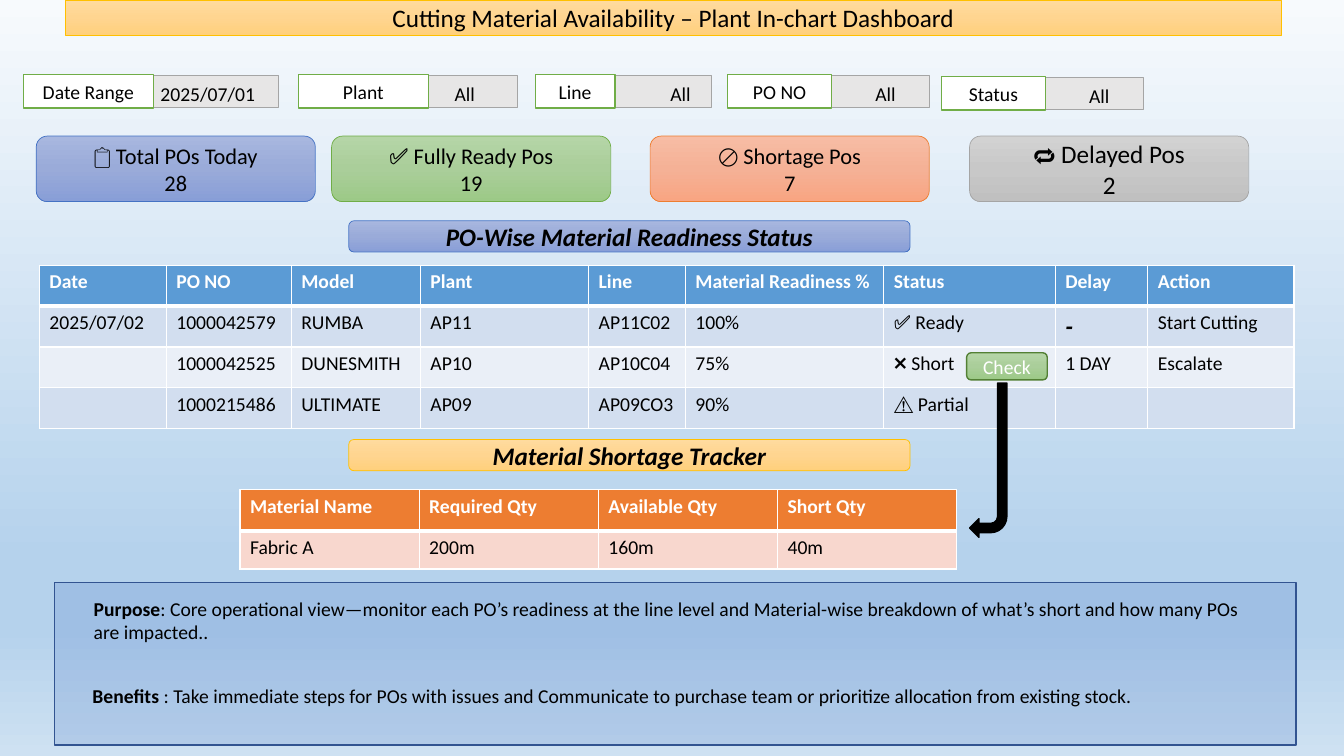
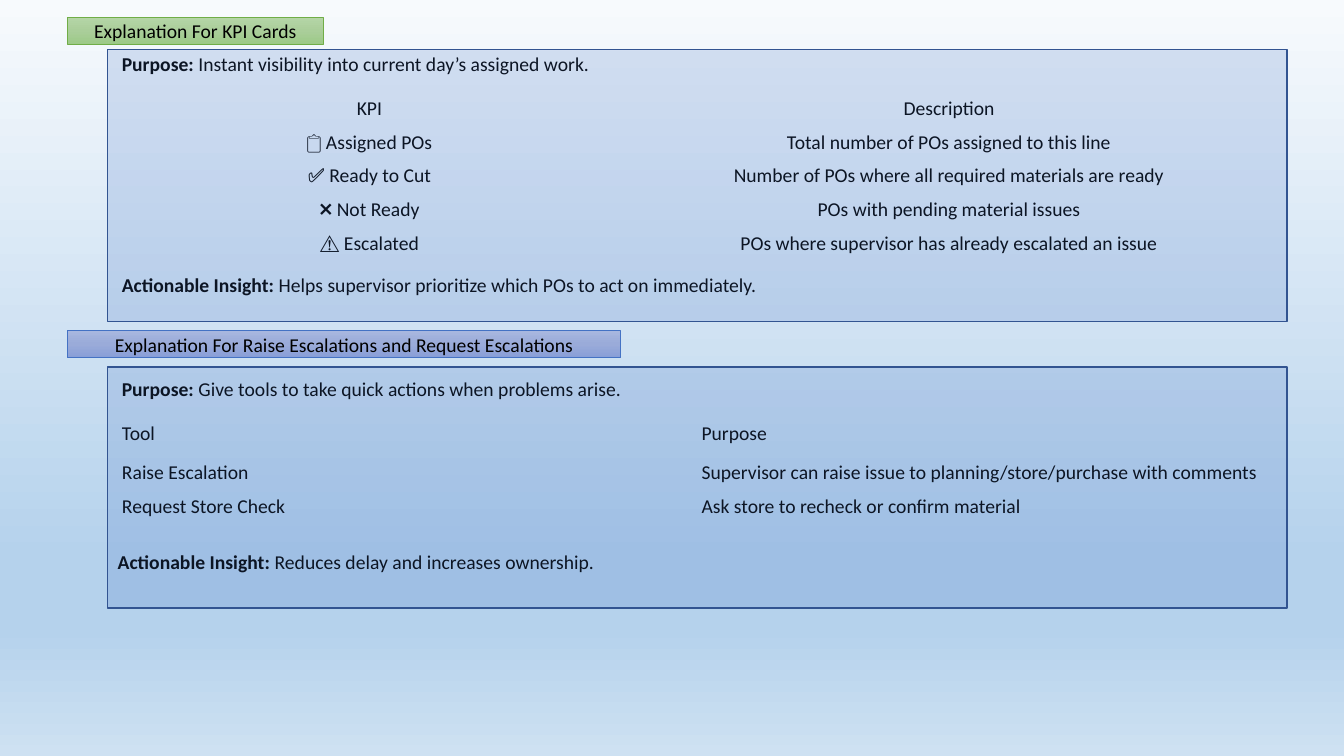
from lxml.etree import SubElement
from pptx import Presentation
from pptx.dml.color import RGBColor
from pptx.enum.shapes import MSO_SHAPE
from pptx.enum.text import MSO_ANCHOR, PP_ALIGN
from pptx.oxml.ns import qn
from pptx.util import Pt

COLORS = {
    "black": "000000", "white": "FFFFFF", "panel": "4472C4", "panel_line": "325491",
    "value": "E7E6E6", "value_line": "A5A5A5", "green": "70AD47", "green_line": "538035",
    "blue_header": "5B9BD5", "blue_odd": "D2DEEF", "blue_even": "EAEFF7",
    "orange_header": "ED7D31", "orange_row": "F8D7CE",
    "gold_line": "FFC000", "blue_line": "4472C4", "orange_line": "ED7D31",
}
GRADIENTS = {
    "gold": ("FFDB9E", "FFD590", "FFD07C"),
    "blue": ("A8B7DF", "9AABD9", "889ED7"),
    "green": ("B5D5A7", "AACE9A", "9CC987"),
    "orange": ("F7BDA5", "F5B196", "F8A582"),
    "gray": ("D2D2D2", "C8C8C8", "C0C0C0"),
}
GRADIENT_LINES = {"gold": "gold_line", "blue": "blue_line", "green": "green",
                  "orange": "orange_line", "gray": "value_line"}
BACKGROUND = ((0, "F7FAFD"), (74, "B5D2EC"), (83, "B5D2EC"), (100, "CEE1F2"))
NO_TABLE_STYLE = "{2D5ABB26-0587-4C30-8999-92F81FD0307C}"


def rgb(name):
    return RGBColor.from_string(COLORS[name])


def apply_gradient(fill, element, stops):
    fill.gradient()
    fill.gradient_angle = 270
    stop_list = next(element.iter(qn("a:gsLst")))
    for stop in list(stop_list):
        stop_list.remove(stop)
    for position, color in stops:
        stop = SubElement(stop_list, qn("a:gs"), pos=str(position * 1000))
        SubElement(stop, qn("a:srgbClr"), val=color)


class Deck:
    """Holds the shared style and the slide being drawn."""

    font_name = "Calibri"

    def __init__(self):
        self.presentation = Presentation()
        self.presentation.slide_width = Pt(960)
        self.presentation.slide_height = Pt(540)
        self.slide = None

    def add_slide(self):
        self.slide = self.presentation.slides.add_slide(self.presentation.slide_layouts[6])
        apply_gradient(self.slide.background.fill, self.slide.element, BACKGROUND)

    def format(self, paragraph, size=14, color="black", bold=None, italic=None, align=PP_ALIGN.LEFT):
        paragraph.alignment = align
        font = paragraph.font
        font.name, font.size, font.bold, font.italic = self.font_name, Pt(size), bold, italic
        font.color.rgb = rgb(color)

    def shape(self, box, fill, line, width, lines=(), kind=MSO_SHAPE.RECTANGLE, **text_style):
        shape = self.slide.shapes.add_shape(kind, *map(Pt, box))
        shape.shadow.inherit = False
        if fill in GRADIENTS:
            apply_gradient(shape.fill, shape.element, zip((0, 50, 100), GRADIENTS[fill]))
        else:
            shape.fill.solid()
            shape.fill.fore_color.rgb = rgb(fill)
        shape.line.color.rgb = rgb(line)
        shape.line.width = Pt(width)
        frame = shape.text_frame
        frame.word_wrap = True
        frame.vertical_anchor = MSO_ANCHOR.MIDDLE
        frame.margin_top = frame.margin_bottom = 0
        if lines:
            frame.text = "\n".join(lines)
            for paragraph in frame.paragraphs:
                self.format(paragraph, align=PP_ALIGN.CENTER, **text_style)
        return shape

    def band(self, box, gradient, *lines, rounded=False, **text_style):
        kind = MSO_SHAPE.ROUNDED_RECTANGLE if rounded else MSO_SHAPE.RECTANGLE
        self.shape(box, gradient, GRADIENT_LINES[gradient], 0.5, lines, kind, **text_style)

    def filter(self, left, top, width, label_width, label, value):
        value_box = self.shape((left, top + 0.4, width, 23), "value", "value_line", 0.5, [value])
        value_box.text_frame.margin_left = Pt(88.6)
        value_box.text_frame.margin_top = Pt(2.8)
        self.shape((left, top, label_width, 23.8), "white", "green", 1, [label])

    def panel(self, *box):
        panel = self.shape(box, "panel", "panel_line", 1)
        color = panel.element.spPr.find(qn("a:solidFill")).find(qn("a:srgbClr"))
        SubElement(color, qn("a:alpha"), val="19000")

    def note(self, left, top, width, height, lead, rest):
        frame = self.slide.shapes.add_textbox(*map(Pt, (left, top, width, height))).text_frame
        frame.word_wrap = True
        paragraph = frame.paragraphs[0]
        self.format(paragraph)
        for text, bold in ((lead, True), (rest, False)):
            run = paragraph.add_run()
            run.text, run.font.bold = text, bold

    def cell_borders(self, cell, row):
        properties = cell._tc.get_or_add_tcPr()
        thick_side = {0: "B", 1: "T"}.get(row)
        for side in "LRTB":
            width = Pt(3 if side == thick_side else 1)
            line = SubElement(properties, qn(f"a:ln{side}"), w=str(width))
            fill = SubElement(line, qn("a:solidFill"))
            SubElement(fill, qn("a:srgbClr"), val=COLORS["white"])

    def table(self, left, top, columns, heights, rows, fills=None, align=PP_ALIGN.LEFT):
        box = map(Pt, (left, top, sum(columns), sum(heights)))
        frame = self.slide.shapes.add_table(len(rows), len(columns), *box)
        next(frame.element.iter(qn("a:tableStyleId"))).text = NO_TABLE_STYLE
        table = frame.table
        for column, width in zip(table.columns, columns):
            column.width = Pt(width)
        for row_index, (row, height) in enumerate(zip(rows, heights)):
            table.rows[row_index].height = Pt(height)
            for column_index, text in enumerate(row):
                cell = table.cell(row_index, column_index)
                cell.text = text
                style = {}
                if fills:
                    self.cell_borders(cell, row_index)
                    cell.fill.solid()
                    cell.fill.fore_color.rgb = rgb(fills[row_index])
                    if row_index == 0:
                        style = {"color": "white", "bold": True}
                    elif text == "-":
                        style = {"size": 18, "bold": True, "italic": True}
                else:
                    cell.fill.background()
                    cell.vertical_anchor = MSO_ANCHOR.MIDDLE
                self.format(cell.text_frame.paragraphs[0], align=align, **style)


def draw_dashboard(deck):
    deck.add_slide()
    deck.band((46.8, 0, 868.3, 25.2), "gold",
              "Cutting Material Availability – Plant In-chart Dashboard", size=18)
    for left, gradient, label, count, size in (
        (25.9, "blue", "📋 Total POs Today", "28", 16),
        (236.9, "green", "✅ Fully Ready Pos", "19", 16),
        (464.4, "orange", "🚫 Shortage Pos", "7", 16),
        (692.6, "gray", "🔁 Delayed Pos", "2", 18),
    ):
        deck.band((left, 97.2, 199.4, 46.8), gradient, label, count, rounded=True, size=size)
    deck.table(
        28.1, 189.4, (90.7, 89.3, 92.2, 120.2, 69.1, 141.8, 122.4, 66.2, 104.4), [29.2] * 4,
        (
            ("Date", "PO NO", "Model", "Plant", "Line", "Material Readiness %",
             "Status", "Delay", "Action"),
            ("2025/07/02", "1000042579", "RUMBA", "AP11", "AP11C02", "100%",
             "✅ Ready", "-", "Start Cutting"),
            ("", "1000042525", "DUNESMITH", "AP10", "AP10C04", "75%",
             "❌ Short", "1 DAY", "Escalate"),
            ("", "1000215486", "ULTIMATE", "AP09", "AP09CO3", "90%", "⚠ Partial", "", ""),
        ),
        ("blue_header", "blue_odd", "blue_even", "blue_odd"),
    )
    deck.table(
        171.4, 349.9, [128] * 4, (29.2, 27.4),
        (
            ("Material Name", "Required Qty", "Available Qty", "Short Qty"),
            ("Fabric A", "200m", "160m", "40m"),
        ),
        ("orange_header", "orange_row"),
    )
    deck.shape((690.5, 252, 57.6, 19.4), "green", "green_line", 1, ["Check"],
               MSO_SHAPE.ROUNDED_RECTANGLE, color="white")
    for top, gradient, heading in (
        (157.7, "blue", "PO-Wise Material Readiness Status"),
        (313.9, "gold", "Material Shortage Tracker"),
    ):
        deck.band((249.1, top, 401, 22.3), gradient, heading,
                  rounded=True, size=18, bold=True, italic=True)
    for filter_values in (
        (16.6, 53.3, 182.2, 92.9, "Date Range", "2025/07/01"),
        (213.1, 53.3, 156.2, 92.9, "Plant", "All"),
        (382.3, 53.3, 126, 56.9, "Line", "All"),
        (519.8, 53.3, 144, 74.2, "PO NO", "All"),
        (672.5, 54.7, 144, 74.2, "Status", "All"),
    ):
        deck.filter(*filter_values)
    arrow = deck.shape((692.6, 273.6, 26.6, 110.2), "black", "black", 1,
                       kind=MSO_SHAPE.BENT_ARROW)
    arrow.rotation = 180
    deck.panel(38.9, 416.2, 887, 115.9)
    deck.note(59.8, 422.6, 847.4, 41, "Purpose",
              ": Core operational view—monitor each PO’s readiness at the line level and "
              "Material-wise breakdown of what’s short and how many POs are impacted..")
    deck.note(59, 485.3, 847.4, 24.5, "Benefits",
              " : Take immediate steps for POs with issues and Communicate to purchase team "
              "or prioritize allocation from existing stock.")


def draw_explanations(deck):
    deck.add_slide()
    deck.note(79.9, 33.8, 689, 24.5, "Purpose:",
              " Instant visibility into current day’s assigned work.")
    deck.table(
        56.9, 65.5, (414, 414), [24] * 5,
        (
            ("KPI", "Description"),
            ("📋 Assigned POs", "Total number of POs assigned to this line"),
            ("✅ Ready to Cut", "Number of POs where all required materials are ready"),
            ("❌ Not Ready", "POs with pending material issues"),
            ("⚠️ Escalated", "POs where supervisor has already escalated an issue"),
        ),
        align=PP_ALIGN.CENTER,
    )
    deck.note(79.9, 191.5, 689, 24.5, "Actionable Insight:",
              " Helps supervisor prioritize which POs to act on immediately.")
    deck.note(79.9, 265.7, 689, 24.5, "Purpose:",
              " Give tools to take quick actions when problems arise.")
    deck.table(
        79.9, 293.8, (414, 414), (31.7, 24, 24),
        (
            ("Tool", "Purpose"),
            ("Raise Escalation",
             "Supervisor can raise issue to planning/store/purchase with comments"),
            ("Request Store Check", "Ask store to recheck or confirm material"),
        ),
    )
    deck.note(77, 389.5, 689, 24.5, "Actionable Insight:",
              " Reduces delay and increases ownership.")
    deck.band((48.2, 12.2, 182.9, 19.4), "green", "Explanation For KPI Cards")
    deck.band((48.2, 236.2, 395.3, 19.4), "blue",
              "Explanation For Raise Escalations and Request Escalations")
    deck.panel(77, 35.3, 842.4, 194.4)
    deck.panel(77, 262.1, 842.4, 172.1)


def main():
    deck = Deck()
    draw_dashboard(deck)
    draw_explanations(deck)
    deck.presentation.save("out.pptx")


if __name__ == "__main__":
    main()
